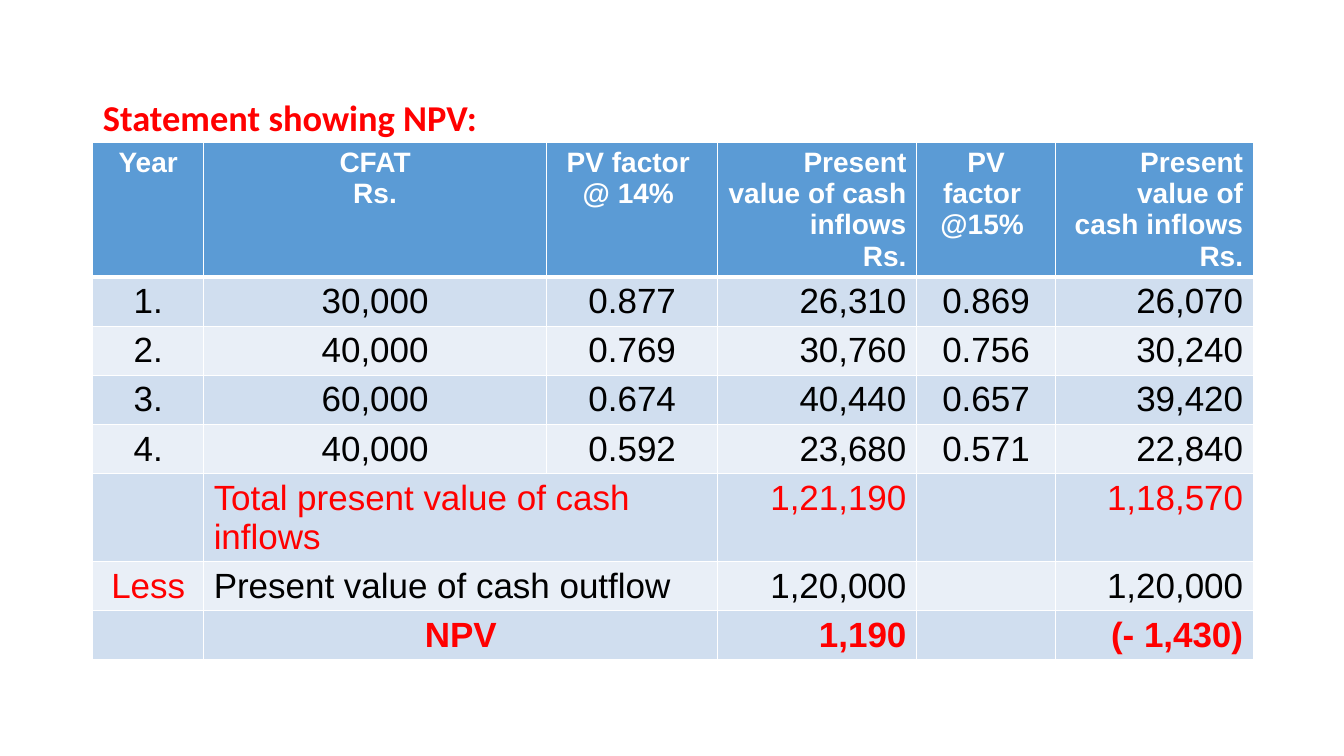
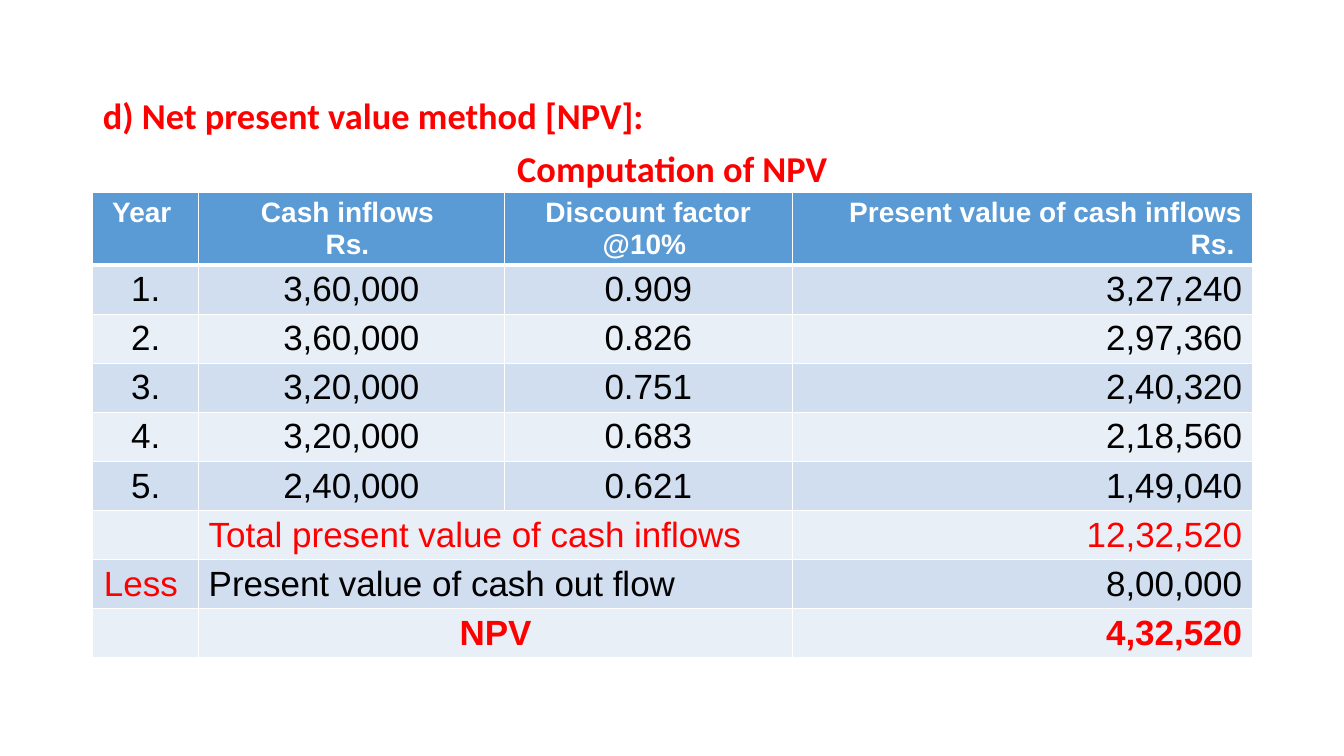
"""Build two slides that work out net present value in tables."""
from dataclasses import dataclass

from lxml import etree
from pptx import Presentation
from pptx import util as u
from pptx.dml.color import RGBColor
from pptx.enum import text
from pptx.oxml import ns

EMU_PER_PX = 9144
LEFT, CONTENT_WIDTH = 92, 1150
ALIGN = {"l": text.PP_ALIGN.LEFT, "c": text.PP_ALIGN.CENTER, "r": text.PP_ALIGN.RIGHT}


@dataclass(frozen=True)
class Theme:
    title_font: str = "Calibri"
    table_font: str = "Arial"
    title_size: int = 26
    header_size: int = 20
    body_size: int = 25
    accent: str = "FF0000"
    ink: str = "000000"
    paper: str = "FFFFFF"
    header_fill: str = "5B9BD5"
    bands: tuple[str, str] = ("D0DEEF", "E9EFF7")
    thin_rule: int = 1
    heavy_rule: int = 3


THEME = Theme()


@dataclass(frozen=True)
class RowStyle:
    color: str = THEME.ink
    size: int = THEME.body_size
    bold: bool = False
    label_align: str = ""


HEADER = RowStyle(THEME.paper, THEME.header_size, True)
YEAR = RowStyle()
TOTAL = RowStyle(THEME.accent, label_align="l")
OUTFLOW = RowStyle(label_align="l")
RESULT = RowStyle(THEME.accent, bold=True, label_align="c")


@dataclass(frozen=True)
class Row:
    style: RowStyle
    cells: tuple[str, ...]
    height: int = 48


@dataclass(frozen=True)
class Statement:
    title: tuple[str, ...]
    title_top: int
    title_height: int
    table_top: int
    columns: tuple[int, ...]
    aligns: str
    rows: tuple[Row, ...]


STATEMENTS = (
    Statement(
        ("Statement showing NPV:",), 94, 47, 141,
        (110, 340, 170, 197, 138, 196), "cccrcr",
        (
            Row(HEADER, ("Year", "CFAT\nRs.", "PV factor \n@ 14% ",
                         "Present value of cash inflows\nRs.", "PV factor \n@15% ",
                         "Present value of cash inflows\nRs."), 133),
            Row(YEAR, ("1.", "30,000", "0.877", "26,310", "0.869", "26,070")),
            Row(YEAR, ("2.", "40,000", "0.769", "30,760", "0.756", "30,240")),
            Row(YEAR, ("3.", "60,000", "0.674", "40,440", "0.657", "39,420")),
            Row(YEAR, ("4.", "40,000", "0.592", "23,680", "0.571", "22,840")),
            Row(TOTAL, ("", "Total present value of cash inflows", "",
                        "1,21,190", "", "1,18,570"), 87),
            Row(OUTFLOW, ("Less", "Present value of cash outflow", "",
                          "1,20,000", "", "1,20,000")),
            Row(RESULT, ("", "NPV", "", "1,190", "", "(- 1,430)")),
        ),
    ),
    Statement(
        ("d) Net present value method [NPV]:", "Computation of NPV"), 92, 99, 191,
        (105, 303, 286, 456), "cccr",
        (
            Row(HEADER, ("Year ", "Cash inflows \nRs. ", "Discount factor @10% ",
                         "Present value of cash inflows\nRs. "), 71),
            Row(YEAR, ("1.", "3,60,000", "0.909", "3,27,240")),
            Row(YEAR, ("2.", "3,60,000", "0.826", "2,97,360")),
            Row(YEAR, ("3.", "3,20,000", "0.751", "2,40,320")),
            Row(YEAR, ("4.", "3,20,000", "0.683", "2,18,560")),
            Row(YEAR, ("5.", "2,40,000", "0.621", "1,49,040")),
            Row(TOTAL, ("", "Total present value of cash inflows", "", "12,32,520")),
            Row(OUTFLOW, ("Less ", "Present value of cash out flow", "", "8,00,000")),
            Row(RESULT, ("", "NPV", "", "4,32,520")),
        ),
    ),
)


def px(length: int) -> u.Emu:
    return u.Emu(length * EMU_PER_PX)


def set_font(para, name: str, size: int, color: str, bold: bool) -> None:
    para.font.name = name
    para.font.size = u.Pt(size)
    para.font.bold = bold
    para.font.color.rgb = RGBColor.from_string(color)


def set_borders(cell, top: int, bottom: int) -> None:
    properties = cell._tc.get_or_add_tcPr()
    widths = {"a:lnL": THEME.thin_rule, "a:lnR": THEME.thin_rule,
              "a:lnT": top, "a:lnB": bottom}
    for position, (tag, width) in enumerate(widths.items()):
        line = etree.Element(ns.qn(tag), w=str(u.Pt(width)))
        fill = etree.SubElement(line, ns.qn("a:solidFill"))
        etree.SubElement(fill, ns.qn("a:srgbClr"), val=THEME.paper)
        properties.insert(position, line)


def draw_title(page, statement: Statement) -> None:
    title = page.shapes.title
    title.left, title.width = px(LEFT), px(CONTENT_WIDTH)
    title.top, title.height = px(statement.title_top), px(statement.title_height)
    frame = title.text_frame
    frame.text = "\n".join(statement.title)
    frame.word_wrap = True
    frame.auto_size = text.MSO_AUTO_SIZE.NONE
    frame.vertical_anchor = text.MSO_ANCHOR.TOP
    for index, para in enumerate(frame.paragraphs):
        para.alignment = ALIGN["c" if index else "l"]
        para.line_spacing = 0.9
        para.space_before = u.Pt(10 if index else 0)
        set_font(para, THEME.title_font, THEME.title_size, THEME.accent, True)


def draw_row(table, index: int, row: Row, aligns: str) -> None:
    style = row.style
    table.rows[index].height = px(row.height)
    if style.label_align:
        table.cell(index, 1).merge(table.cell(index, 2))
    fill = THEME.bands[(index - 1) % 2] if index else THEME.header_fill
    for column, words in enumerate(row.cells):
        cell = table.cell(index, column)
        cell.fill.solid()
        cell.fill.fore_color.rgb = RGBColor.from_string(fill)
        set_borders(cell, THEME.heavy_rule if index == 1 else THEME.thin_rule,
                    THEME.thin_rule if index else THEME.heavy_rule)
        if not words:
            continue
        is_label = column == 1 and style.label_align
        is_lead = column == 0 and style.label_align
        cell.text_frame.text = words
        for para in cell.text_frame.paragraphs:
            para.alignment = ALIGN[style.label_align if is_label else aligns[column]]
            set_font(para, THEME.table_font, style.size,
                     THEME.accent if is_lead else style.color, style.bold)


def draw_table(page, statement: Statement) -> None:
    rows, columns = statement.rows, statement.columns
    table = page.shapes.add_table(
        len(rows), len(columns), px(LEFT), px(statement.table_top),
        px(sum(columns)), px(sum(row.height for row in rows))).table
    table.horz_banding = False
    for column, width in zip(table.columns, columns):
        column.width = px(width)
    for index, row in enumerate(rows):
        draw_row(table, index, row, statement.aligns)


def main() -> None:
    deck = Presentation()
    deck.slide_width, deck.slide_height = px(1333), px(750)
    title_only = deck.slide_layouts[5]
    for statement in STATEMENTS:
        page = deck.slides.add_slide(title_only)
        draw_title(page, statement)
        draw_table(page, statement)
    deck.save("out.pptx")


if __name__ == "__main__":
    main()
